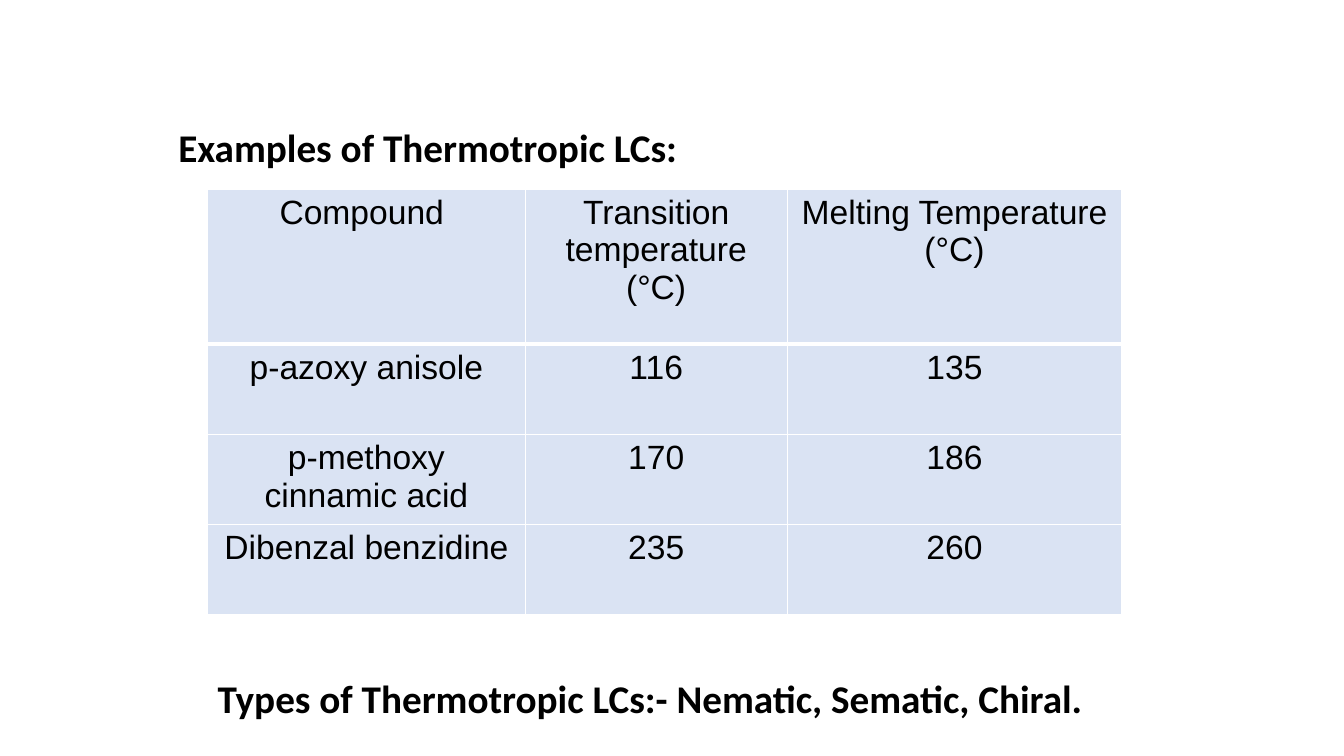
from dataclasses import dataclass

from lxml.etree import SubElement
from pptx import Presentation
from pptx.dml.color import RGBColor
from pptx.enum.text import MSO_AUTO_SIZE, PP_ALIGN
from pptx.oxml.ns import qn
from pptx.slide import Slide
from pptx.table import _Cell
from pptx.text.text import TextFrame
from pptx.util import Pt

COLORS = {"text": "000000", "cell": "DAE3F3", "border": "FFFFFF"}


@dataclass
class Heading:
    text: str
    left: float
    top: float
    width: float


HEADINGS = [
    Heading("Examples of Thermotropic LCs:", 120.25, 84.25, 375),
    Heading("Types of Thermotropic LCs:- Nematic, Sematic, Chiral.", 148.3, 478, 646.5),
]

COLUMN_WIDTHS = [226.8, 187.2, 239]
ROW_HEIGHTS = [110.9, 64.3, 64.3, 64.3]
COMPOUNDS = [
    ["Compound ", "Transition temperature (°C)", "Melting Temperature (°C)"],
    ["p-azoxy anisole", "116", "135"],
    ["p-methoxy cinnamic acid", "170", "186"],
    ["Dibenzal benzidine", "235", "260"],
]


def write_text(frame: TextFrame, text: str, *, font: str, size: float,
               bold: bool = False, align: PP_ALIGN = PP_ALIGN.LEFT) -> None:
    para = frame.paragraphs[0]
    para.alignment = align
    span = para.add_run()
    span.text = text
    span.font.name = font
    span.font.size = Pt(size)
    span.font.bold = bold
    span.font.color.rgb = RGBColor.from_string(COLORS["text"])


def add_heading(page: Slide, heading: Heading) -> None:
    box = page.shapes.add_textbox(Pt(heading.left), Pt(heading.top),
                                  Pt(heading.width), Pt(41.2))
    frame = box.text_frame
    frame.word_wrap = False
    frame.auto_size = MSO_AUTO_SIZE.SHAPE_TO_FIT_TEXT
    write_text(frame, heading.text, font="Calibri", size=28, bold=True)


def style_cell(cell: _Cell, bottom_width: float) -> None:
    cell.fill.solid()
    cell.fill.fore_color.rgb = RGBColor.from_string(COLORS["cell"])
    # Border lines come before the fill in the cell properties
    properties = cell._tc.get_or_add_tcPr()
    widths = {"a:lnL": 1, "a:lnR": 1, "a:lnT": 1, "a:lnB": bottom_width}
    for position, (side, width) in enumerate(widths.items()):
        line = SubElement(properties, qn(side), w=str(Pt(width)))
        fill = SubElement(line, qn("a:solidFill"))
        SubElement(fill, qn("a:srgbClr"), val=COLORS["border"])
        properties.insert(position, line)


def add_compound_table(page: Slide) -> None:
    table = page.shapes.add_table(
        len(ROW_HEIGHTS), len(COLUMN_WIDTHS), Pt(148.3), Pt(135),
        Pt(sum(COLUMN_WIDTHS)), Pt(sum(ROW_HEIGHTS))).table
    table.horz_banding = False
    for column, width in zip(table.columns, COLUMN_WIDTHS):
        column.width = Pt(width)
    for index, (row, height) in enumerate(zip(table.rows, ROW_HEIGHTS)):
        row.height = Pt(height)
        for cell, text in zip(row.cells, COMPOUNDS[index]):
            style_cell(cell, bottom_width=3 if index == 0 else 1)
            write_text(cell.text_frame, text, font="Arial", size=24,
                       align=PP_ALIGN.CENTER)


def main() -> None:
    deck = Presentation()
    deck.slide_width, deck.slide_height = Pt(960), Pt(540)
    page = deck.slides.add_slide(deck.slide_layouts[6])

    # Table of compounds
    add_compound_table(page)

    # Lines above and below the table
    for heading in HEADINGS:
        add_heading(page, heading)

    deck.save("out.pptx")


if __name__ == "__main__":
    main()
